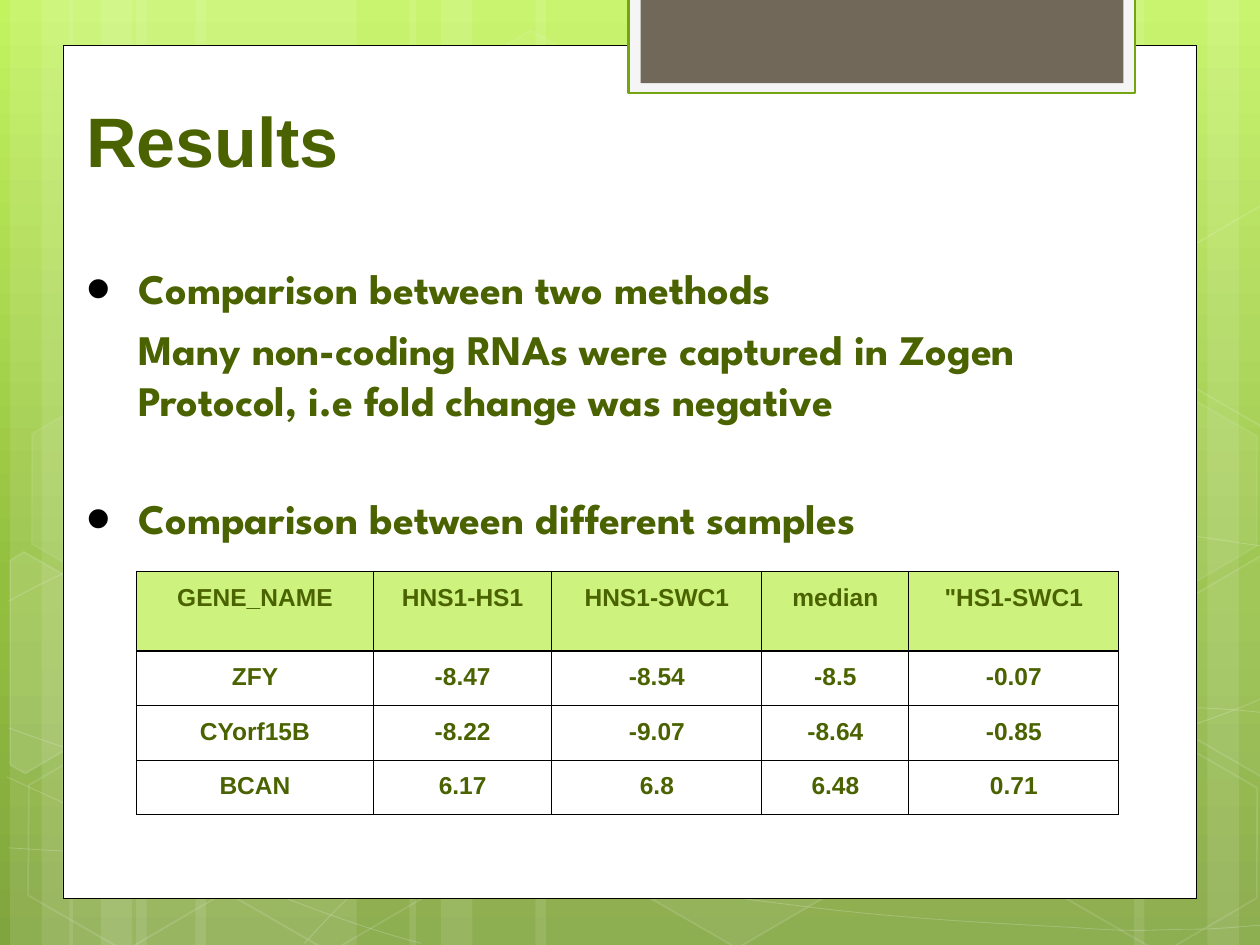
import copy

import lxml.etree
import pptx
import pptx.dml.color
import pptx.enum.shapes
import pptx.enum.text
import pptx.oxml.ns
import pptx.util

Pt = pptx.util.Pt
RGBColor = pptx.dml.color.RGBColor
qn = pptx.oxml.ns.qn
RECTANGLE = pptx.enum.shapes.MSO_SHAPE.RECTANGLE
HEXAGON = pptx.enum.shapes.MSO_SHAPE.HEXAGON

WHITE = RGBColor(0xFF, 0xFF, 0xFF)
BLACK = RGBColor(0, 0, 0)
DARK_GREEN = RGBColor(0x4A, 0x63, 0x00)
FRAME_GREEN = RGBColor(0x74, 0xA5, 0x10)
FRAME_GREY = RGBColor(0xF5, 0xF5, 0xF5)
TAB_BROWN = RGBColor(0x71, 0x68, 0x5A)
HEADER_GREEN = RGBColor(0xAA, 0xEA, 0x25)
BACKGROUND_STOPS = [(0, RGBColor(0xC3, 0xF3, 0x5F)), (0.62, RGBColor(0x93, 0xBF, 0x3F)),
                    (1, RGBColor(0x81, 0xA5, 0x3E))]

WIDTH, HEIGHT = 720, 540

# Band groups: origin, direction, width of the widest band
BAND_GROUPS = [(5.76, 1, 126), (39.6, 1, 126), (726, -1, 126), (234, 1, 222)]

# Curves: points of joined cubic Bezier segments
CURVES = [
    [(5, 484.5), (44, 487), (83, 489), (137, 488), (191, 487.5), (258, 486), (330, 479),
     (402, 471.5), (504, 458), (570, 444), (636, 430.5), (703, 409), (725, 397)],
    [(5, 343.5), (26, 332), (47, 321), (87, 310), (128, 299.5), (186, 284), (250, 279),
     (314, 274), (392, 273), (471, 279), (550, 284), (682, 307), (725, 312.5)],
    [(4, 444), (91, 484), (178, 523), (240.5, 539)],
    [(5, 416), (27, 424), (50, 432), (92, 443.5), (134, 454), (197, 472), (257, 484.5),
     (317, 497), (392, 510), (452, 517), (512, 525), (576, 528), (614, 530),
     (652, 533), (662, 531), (680, 531), (699, 531), (712, 529), (725, 528.5)],
    [(174, 539), (187, 525), (200, 510.5), (217.5, 497.5), (235, 484.5), (259, 470), (279, 460),
     (300, 450), (312, 446), (338, 438.5), (364, 431), (413, 421), (438, 416),
     (464, 411), (467, 411), (490, 409.5), (512, 407.5), (547, 405), (572, 404.5),
     (597, 404), (638, 404.5), (638, 404.5), (654, 404.5), (670, 404.5), (686, 404.5),
     (699, 405), (711, 406), (724, 407.5)],
]

# Hexagons: left, top, fill opacity (None for no fill), line opacity
HEXAGONS = [
    (240.5, 26, 4, 8), (358, 424, 6, 12), (8, 425.5, None, 12), (10, 224.6, 7, 8),
    (125.3, 426.2, None, 12), (542, 326.2, 10, 12), (600.5, 427, None, 12), (600.5, 226, 7, 8),
]

# Hexagons cut by the slide edge: corner points, fill opacity
CUT_HEXAGONS = [
    ([(5.8, 320.4), (13.7, 315.4), (69, 347), (68.4, 410.4), (14.4, 442), (5.8, 437)], 10),
    ([(666.7, 349.2), (720.7, 317.5), (726.5, 321), (726.5, 441.4), (721.4, 444.2),
      (666.7, 412.6)], 4),
    ([(666.7, 149), (720.7, 117.4), (727, 121), (726.5, 241.2), (721.4, 244), (666.7, 212.4)], None),
]

# Paragraphs: text, bulleted, space before
PARAGRAPHS = [
    ("Comparison between two methods", True, 4.8),
    ("Many non-coding RNAs were captured in Zogen Protocol, i.e fold change was negative", False, 6),
    ("Comparison between different samples", True, 39),
]

TABLE_ROWS = [
    ["GENE_NAME", "HNS1-HS1", "HNS1-SWC1", "median", "\"HS1-SWC1"],
    ["ZFY", "-8.47", "-8.54", "-8.5", "-0.07"],
    ["CYorf15B", "-8.22", "-9.07", "-8.64", "-0.85"],
    ["BCAN", "6.17", "6.8", "6.48", "0.71"],
]
COLUMN_WIDTHS = [135.4, 102, 120, 84, 120]
ROW_HEIGHTS = [45.6, 31.2, 31.2, 31.2]


def set_opacity(fill, color, percent):
    fill.solid()
    fill.fore_color.rgb = color
    if percent < 100:
        element = fill._xPr.find(qn("a:solidFill"))[0]
        lxml.etree.SubElement(element, qn("a:alpha"), val=str(percent * 1000))


def style_shape(shape, fill=None, fill_opacity=100, line=None, line_width=1, line_opacity=100):
    shape.shadow.inherit = False
    if fill is None or fill_opacity is None:
        shape.fill.background()
    else:
        set_opacity(shape.fill, fill, fill_opacity)
    if line is None:
        shape.line.fill.background()
    else:
        shape.line.width = Pt(line_width)
        set_opacity(shape.line.fill, line, line_opacity)


def add_preset(shapes, kind, left, top, width, height, **style):
    shape = shapes.add_shape(kind, Pt(left), Pt(top), Pt(width), Pt(height))
    style_shape(shape, **style)
    return shape


def add_outline(shapes, points, close, **style):
    points = [(Pt(x), Pt(y)) for x, y in points]
    builder = shapes.build_freeform(*points[0])
    builder.add_line_segments(points[1:], close=close)
    shape = builder.convert_to_shape()
    style_shape(shape, **style)
    return shape


def bend_segments(shape):
    """Turn each three line segments into one cubic Bezier segment."""
    segments = list(shape._element.iter(qn("a:lnTo")))
    for start in range(0, len(segments), 3):
        curve = lxml.etree.Element(qn("a:cubicBezTo"))
        segments[start].addprevious(curve)
        for segment in segments[start:start + 3]:
            curve.append(segment[0])
            segment.getparent().remove(segment)


def add_background(slide):
    fill = slide.background.fill
    fill.gradient()
    fill.gradient_angle = 270
    stop_list = slide.element.find(".//" + qn("a:gsLst"))
    stop_list.append(copy.deepcopy(stop_list[-1]))
    for stop, (position, color) in zip(fill.gradient_stops, BACKGROUND_STOPS):
        stop.position = position
        stop.color.rgb = color


def add_decoration(slide):
    shapes = slide.shapes.add_group_shape().shapes
    for origin, direction, widest in BAND_GROUPS:
        for offset, width in ((72, widest), (0, 36), (18, 60)):
            left = origin + offset if direction > 0 else origin - offset - width
            add_preset(shapes, RECTANGLE, left, 0, width, HEIGHT, fill=WHITE, fill_opacity=10)
    for curve in CURVES:
        bend_segments(add_outline(shapes, curve, False, line=WHITE, line_width=0.5,
                                  line_opacity=20))
    for left, top, fill_opacity, line_opacity in HEXAGONS:
        hexagon = add_preset(shapes, HEXAGON, left, top, 126, 109.4, fill=WHITE,
                             fill_opacity=fill_opacity, line=WHITE, line_opacity=line_opacity)
        hexagon.adjustments[0] = 0.285
        hexagon.rotation = 30
    for points, fill_opacity in CUT_HEXAGONS:
        add_outline(shapes, points, True, fill=WHITE, fill_opacity=fill_opacity,
                    line=WHITE, line_opacity=12)


def add_panel(slide, left, top, width, height):
    add_preset(slide.shapes, RECTANGLE, left, top, width, height, fill=WHITE, line=BLACK,
               line_width=0.5)
    # Tab hanging from the top edge
    add_preset(slide.shapes, RECTANGLE, left + 323.2, -1.5, 289.6, 54.7, fill=FRAME_GREY,
               line=FRAME_GREEN, line_width=1.25)
    add_preset(slide.shapes, RECTANGLE, left + 330, -1.5, 276, 49, fill=TAB_BROWN)


def format_text(paragraph, size, name):
    font = paragraph.font
    font.size, font.name, font.bold = Pt(size), name, True
    font.color.rgb = DARK_GREEN


def set_frame(frame, anchor):
    frame.word_wrap = True
    frame.auto_size = pptx.enum.text.MSO_AUTO_SIZE.NONE
    frame.vertical_anchor = anchor
    frame.margin_left = frame.margin_right = frame.margin_top = frame.margin_bottom = Pt(7.2)


def add_title(slide, left, top, width, height):
    title = slide.shapes.title
    title.left, title.top, title.width, title.height = Pt(left), Pt(top), Pt(width), Pt(height)
    title.text_frame.text = "Results"
    set_frame(title.text_frame, pptx.enum.text.MSO_ANCHOR.BOTTOM)
    paragraph = title.text_frame.paragraphs[0]
    paragraph.alignment = pptx.enum.text.PP_ALIGN.LEFT
    format_text(paragraph, 40, "Arial")
    # Title on top of the panel
    slide.shapes._spTree.append(title._element)


def add_body(slide, left, top, width, height):
    frame = slide.shapes.add_textbox(Pt(left), Pt(top), Pt(width), Pt(height)).text_frame
    set_frame(frame, pptx.enum.text.MSO_ANCHOR.TOP)
    for index, (text, bulleted, space) in enumerate(PARAGRAPHS):
        paragraph = frame.add_paragraph() if index else frame.paragraphs[0]
        paragraph.text = text
        paragraph.space_before = Pt(space)
        format_text(paragraph, 24, "League Spartan")
        properties = paragraph._p.get_or_add_pPr()
        properties.set("marL", str(Pt(36)))
        properties.set("indent", str(Pt(-29.5 if bulleted else 0)))
        if bulleted:
            bullet = [lxml.etree.Element(qn("a:buClr")),
                      lxml.etree.Element(qn("a:buSzPct"), val="167000"),
                      lxml.etree.Element(qn("a:buFont"), typeface="Arial"),
                      lxml.etree.Element(qn("a:buChar"), char="\u2022")]
            lxml.etree.SubElement(bullet[0], qn("a:srgbClr"), val=str(BLACK))
            for element in bullet:
                properties.find(qn("a:defRPr")).addprevious(element)


def add_borders(cell):
    properties = cell._tc.get_or_add_tcPr()
    for index, side in enumerate(("lnL", "lnR", "lnT", "lnB")):
        border = lxml.etree.Element(qn("a:" + side), w=str(Pt(0.75)))
        solid = lxml.etree.SubElement(border, qn("a:solidFill"))
        lxml.etree.SubElement(solid, qn("a:srgbClr"), val=str(BLACK))
        properties.insert(index, border)


def add_gene_table(slide, left, top):
    table = slide.shapes.add_table(len(ROW_HEIGHTS), len(COLUMN_WIDTHS), Pt(left), Pt(top),
                                   Pt(sum(COLUMN_WIDTHS)), Pt(sum(ROW_HEIGHTS))).table
    table.first_row = table.horz_banding = False
    for column, width in zip(table.columns, COLUMN_WIDTHS):
        column.width = Pt(width)
    for row_index, (row, height, texts) in enumerate(zip(table.rows, ROW_HEIGHTS, TABLE_ROWS)):
        row.height = Pt(height)
        for cell, text in zip(row.cells, texts):
            cell.text = text
            cell.margin_left = cell.margin_right = cell.margin_top = cell.margin_bottom = Pt(7.2)
            paragraph = cell.text_frame.paragraphs[0]
            paragraph.alignment = pptx.enum.text.PP_ALIGN.CENTER
            format_text(paragraph, 14, "Arial")
            if row_index == 0:
                set_opacity(cell.fill, HEADER_GREEN, 59)
            else:
                cell.fill.background()
            add_borders(cell)


def build_results_slide(presentation):
    slide = presentation.slides.add_slide(presentation.slide_layouts[5])
    add_background(slide)
    add_decoration(slide)
    add_panel(slide, 36, 25.9, 648, 487.3)
    add_title(slide, 42, 47.8, 648, 63.4)
    add_body(slide, 36, 143, 648, 396)
    add_gene_table(slide, 78, 326.4)


presentation = pptx.Presentation()
presentation.slide_width, presentation.slide_height = Pt(WIDTH), Pt(HEIGHT)
build_results_slide(presentation)
presentation.save("out.pptx")
